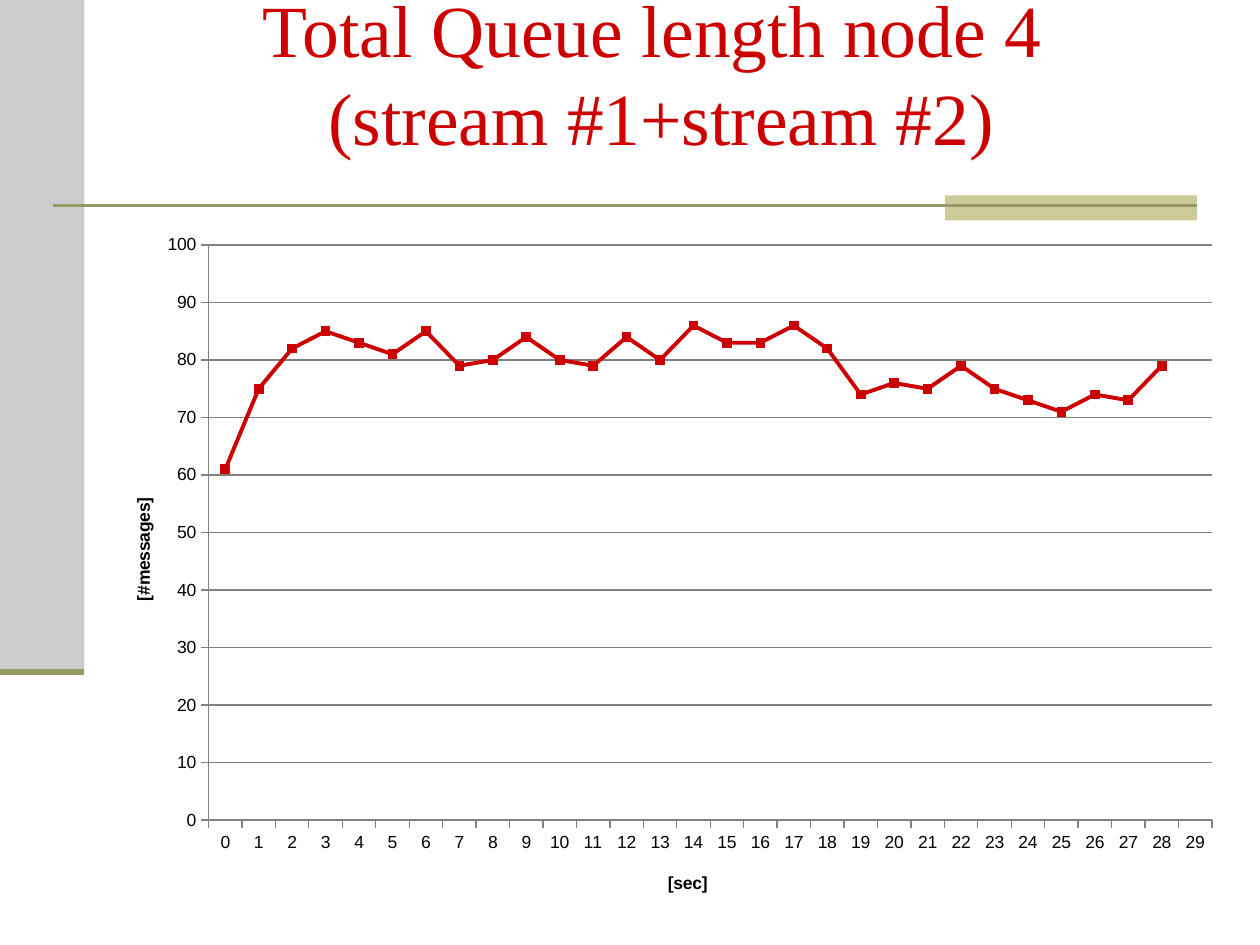
import pptx
import pptx.util
import pptx.chart.data
import pptx.dml.color
import pptx.enum.chart
import pptx.enum.shapes
import pptx.enum.text
import pptx.oxml
import pptx.oxml.ns
import lxml.etree

Inches = pptx.util.Inches
Pt = pptx.util.Pt
RGBColor = pptx.dml.color.RGBColor
RED = RGBColor(0xCC, 0x00, 0x00)
BLACK = RGBColor(0x00, 0x00, 0x00)
AXIS_GRAY = RGBColor(0x80, 0x80, 0x80)
SIDE_GRAY = RGBColor(0xCC, 0xCC, 0xCC)
SAND = RGBColor(0xCC, 0xCC, 0x99)
OLIVE = RGBColor(0x99, 0x99, 0x66)

TITLE = "Total Queue length node 4 \v(stream #1+stream #2)"
QUEUE_LENGTHS = [61, 75, 82, 85, 83, 81, 85, 79, 80, 84, 80, 79, 84, 80, 86,
                 83, 83, 86, 82, 74, 76, 75, 79, 75, 73, 71, 74, 73, 79, None]
BLOCKS = [(0, 0, 0.67, 5.33, SIDE_GRAY), (7.5, 1.55, 2, 0.2, SAND)]
RULES = [(0.42, 9.5, 1.63, 1.5), (0, 0.67, 5.33, 3.5)]
PLOT_LAYOUT = {"x": 0.1, "y": 0.03, "w": 0.88, "h": 0.83}

deck = pptx.Presentation()
deck.slide_width, deck.slide_height = Inches(10), Inches(7.5)
page = deck.slides.add_slide(deck.slide_layouts[6])


def write(frame, text, size, font, color, bold=False):
    para = frame.paragraphs[0]
    para.text = text
    para.alignment = pptx.enum.text.PP_ALIGN.CENTER
    for span in para.runs:
        span.font.size = Pt(size)
        span.font.name = font
        span.font.bold = bold
        span.font.color.rgb = color


def set_layout(parent, following, fractions, inner=False):
    qn = pptx.oxml.ns.qn
    for old in parent.findall(qn("c:layout")):
        parent.remove(old)
    layout = lxml.etree.Element(qn("c:layout"))
    manual = lxml.etree.SubElement(layout, qn("c:manualLayout"))
    settings = [("layoutTarget", "inner")] if inner else []
    settings += [("xMode", "edge"), ("yMode", "edge"), *fractions.items()]
    for tag, value in settings:
        lxml.etree.SubElement(manual, qn("c:" + tag)).set("val", str(value))
    parent.find(qn("c:" + following)).addprevious(layout)


def format_axis(axis, title, left, top):
    write(axis.axis_title.text_frame, title, 10, "Arial", BLACK, bold=True)
    set_layout(axis.axis_title._element, "overlay", {"x": left, "y": top})
    axis.major_tick_mark = pptx.enum.chart.XL_TICK_MARK.OUTSIDE
    axis.minor_tick_mark = pptx.enum.chart.XL_TICK_MARK.NONE
    axis.format.line.color.rgb = AXIS_GRAY
    axis.format.line.width = Pt(0.75)


for left, top, width, height, color in BLOCKS:
    block = page.shapes.add_shape(pptx.enum.shapes.MSO_SHAPE.RECTANGLE,
                                  Inches(left), Inches(top), Inches(width), Inches(height))
    block.shadow.inherit = False
    block.fill.solid()
    block.fill.fore_color.rgb = color
    block.line.fill.background()

for start, end, height, weight in RULES:
    rule = page.shapes.add_connector(pptx.enum.shapes.MSO_CONNECTOR.STRAIGHT,
                                     Inches(start), Inches(height), Inches(end), Inches(height))
    rule.line.color.rgb = OLIVE
    rule.line.width = Pt(weight)
    lxml.etree.SubElement(rule._element.spPr, pptx.oxml.ns.qn("a:effectLst"))

title_box = page.shapes.add_textbox(Inches(1), Inches(0.3), Inches(8.5), Inches(1.25))
title_frame = title_box.text_frame
title_frame.word_wrap = True
title_frame.vertical_anchor = pptx.enum.text.MSO_ANCHOR.MIDDLE
title_frame.margin_bottom = Inches(0.75)
write(title_frame, TITLE, 42, "Times New Roman", RED)

chart_data = pptx.chart.data.CategoryChartData()
chart_data.categories = [str(second) for second in range(len(QUEUE_LENGTHS))]
chart_data.add_series("Series 1", QUEUE_LENGTHS)
chart = page.shapes.add_chart(pptx.enum.chart.XL_CHART_TYPE.LINE_MARKERS, Inches(0.75),
                              Inches(1.78), Inches(9.05), Inches(5.5), chart_data).chart
chart.has_legend = False
chart.has_title = False
chart.font.size = Pt(10)
chart.font.name = "Arial"
chart.font.color.rgb = BLACK
chart.plots[0].vary_by_categories = False
set_layout(chart.plots[0]._element.getparent(), "lineChart", PLOT_LAYOUT, inner=True)

format_axis(chart.category_axis, "[sec]", 0.5, 0.93)
format_axis(chart.value_axis, "[#messages]", 0.03, 0.39)
chart.value_axis.minimum_scale = 0
chart.value_axis.maximum_scale = 100
chart.value_axis.major_unit = 10
chart.value_axis.has_major_gridlines = True
chart.value_axis.major_gridlines.format.line.color.rgb = AXIS_GRAY
chart.value_axis.major_gridlines.format.line.width = Pt(0.75)

series = chart.plots[0].series[0]
series.smooth = False
series.format.line.color.rgb = RED
series.format.line.width = Pt(2.25)
series.marker.style = pptx.enum.chart.XL_MARKER_STYLE.SQUARE
series.marker.size = 5
series.marker.format.fill.solid()
series.marker.format.fill.fore_color.rgb = RED
series.marker.format.line.color.rgb = RED

deck.save("out.pptx")
